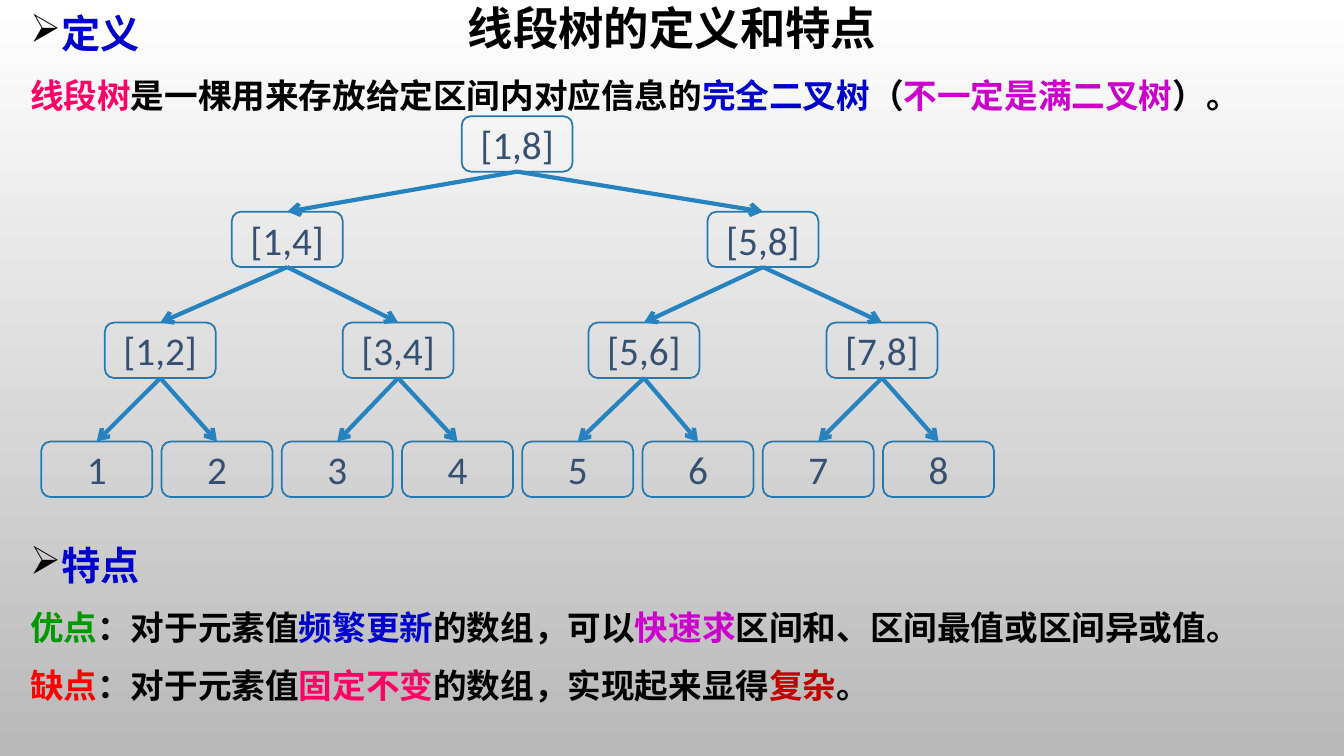
from lxml import etree
from pptx import Presentation
from pptx.dml.color import RGBColor
from pptx.enum.shapes import MSO_CONNECTOR as Connector, MSO_SHAPE as Shape
from pptx.enum.text import MSO_ANCHOR as Anchor, PP_ALIGN as Align
from pptx.oxml.ns import qn
from pptx.util import Pt

WHITE = RGBColor(0xFF, 0xFF, 0xFF)
GREY = RGBColor(0xB9, 0xB9, 0xB9)
BLACK = RGBColor(0, 0, 0)
BLUE = RGBColor(0, 0, 0xCC)
PINK = RGBColor(0xFF, 0, 0x66)
PURPLE = RGBColor(0xCC, 0, 0xCC)
GREEN = RGBColor(0, 0x99, 0)
RED = RGBColor(0xFF, 0, 0)
DARK_RED = RGBColor(0xC0, 0, 0)
NODE_LINE = RGBColor(0x23, 0x79, 0xB0)
NODE_TEXT = RGBColor(0x35, 0x50, 0x71)
EDGE = RGBColor(0x26, 0x83, 0xBF)

NODE_WIDTH, NODE_HEIGHT = 79.2, 39.6
# Each level: top, then the centre and label of every node
TREE = [
    (83, [(369.4, "[1,8]")]),
    (151.2, [(205.2, "[1,4]"), (545, "[5,8]")]),
    (230.4, [(114.5, "[1,2]"), (284.4, "[3,4]"), (460, "[5,6]"), (630, "[7,8]")]),
    (315.4, [(69.1 + 85.9 * i, str(i + 1)) for i in range(8)]),
]
DEFINITION = [
    ("线段树", PINK), ("是一棵用来存放给定区间内对应信息的", BLACK),
    ("完全二叉树", BLUE), ("（", BLACK), ("不一定是满二叉树", PURPLE), ("）。", BLACK),
]
ADVANTAGE = [
    ("优点", GREEN), ("：对于元素值", BLACK), ("频繁更新", BLUE),
    ("的数组，可以", BLACK), ("快速求", PURPLE),
    ("区间和、区间最值或区间异或值。", BLACK),
]
DRAWBACK = [
    ("缺点", RED), ("：对于元素值", BLACK), ("固定不变", PINK),
    ("的数组，实现起来显得", BLACK), ("复杂", DARK_RED), ("。", BLACK),
]


def add_span(para, text, *, size, color, font="Calibri", bold=False):
    span = para.add_run()
    span.text = text
    span.font.name, span.font.size, span.font.bold = font, Pt(size), bold
    span.font.color.rgb = color


def add_arrow_bullet(para):
    props = para._p.get_or_add_pPr()
    props.set("marL", str(Pt(18)))
    props.set("indent", str(-Pt(18)))
    color = etree.SubElement(props, qn("a:buClr"))
    etree.SubElement(color, qn("a:srgbClr"), val=str(BLACK))
    etree.SubElement(props, qn("a:buChar"), char="➢")


def set_background(page):
    fill = page.background.fill
    fill.gradient()
    fill.gradient_angle = 270
    for stop, position, color in zip(fill.gradient_stops, (0, 1), (WHITE, GREY)):
        stop.position = position
        stop.color.rgb = color


def set_title(page, text):
    title = page.shapes.title
    title.left, title.top, title.width, title.height = Pt(72), Pt(0), Pt(816), Pt(44.6)
    title.text_frame.vertical_anchor = Anchor.MIDDLE
    para = title.text_frame.paragraphs[0]
    para.alignment = Align.CENTER
    para.line_spacing = 0.9
    add_span(para, text, size=32.4, color=BLACK, bold=True)


def add_section(page, top, height, heading, *lines):
    """Add a bulleted heading followed by lines of coloured spans."""
    box = page.shapes.add_textbox(Pt(14.4), Pt(top), Pt(899.3), Pt(height))
    frame = box.text_frame
    frame.word_wrap = True
    para = frame.paragraphs[0]
    add_arrow_bullet(para)
    para.line_spacing = 1.1
    add_span(para, heading, size=28, color=BLUE, font="Times New Roman", bold=True)
    for line in lines:
        para = frame.add_paragraph()
        para.line_spacing = 1.1
        para.space_before = Pt(10)
        for text, color in line:
            add_span(para, text, size=24, color=color, font="Times New Roman", bold=True)


def add_node(page, center, top, label):
    node = page.shapes.add_shape(
        Shape.ROUNDED_RECTANGLE, Pt(center - NODE_WIDTH / 2), Pt(top),
        Pt(NODE_WIDTH), Pt(NODE_HEIGHT))
    node.shadow.inherit = False
    node.fill.background()
    node.line.color.rgb = NODE_LINE
    node.line.width = Pt(1.25)
    node.text_frame.vertical_anchor = Anchor.MIDDLE
    para = node.text_frame.paragraphs[0]
    para.alignment = Align.CENTER
    add_span(para, label, size=28, color=NODE_TEXT)
    return node


def add_edge(page, parent, child):
    edge = page.shapes.add_connector(Connector.STRAIGHT, 0, 0, 0, 0)
    edge.begin_connect(parent, 2)
    edge.end_connect(child, 0)
    edge.line.color.rgb = EDGE
    edge.line.width = Pt(3)
    etree.SubElement(edge.line._get_or_add_ln(), qn("a:tailEnd"), type="arrow")
    etree.SubElement(edge._element.spPr, qn("a:effectLst"))


def add_tree(page):
    levels = [[add_node(page, center, top, label) for center, label in nodes]
              for top, nodes in TREE]
    for parents, children in zip(levels, levels[1:]):
        for i, child in enumerate(children):
            add_edge(page, parents[i // 2], child)


def main():
    deck = Presentation()
    deck.slide_width, deck.slide_height = Pt(960), Pt(540)
    page = deck.slides.add_slide(deck.slide_layouts[5])
    set_background(page)
    set_title(page, "线段树的定义和特点")
    add_section(page, 0, 83, "定义", DEFINITION)
    add_section(page, 380, 130, "特点", ADVANTAGE, DRAWBACK)
    add_tree(page)
    deck.save("out.pptx")


if __name__ == "__main__":
    main()
